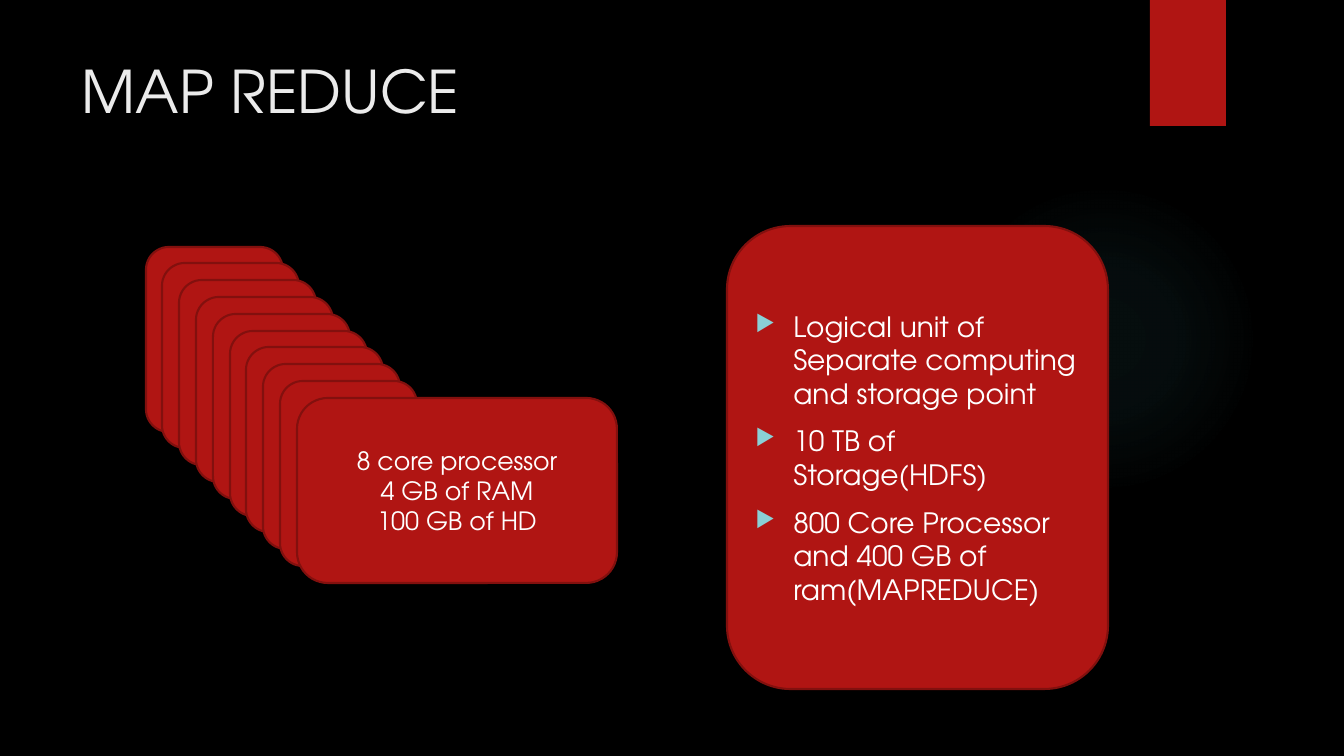
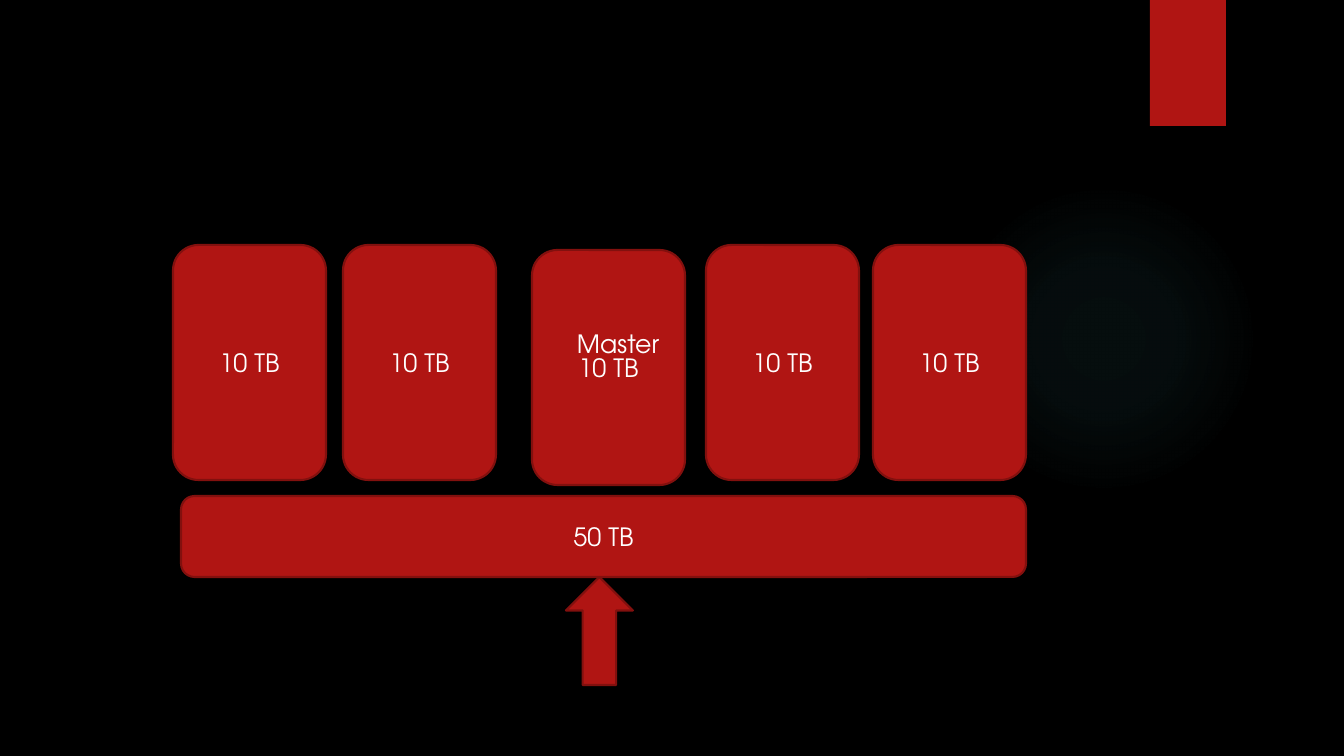
from lxml import etree
from pptx import Presentation
from pptx.dml.color import RGBColor
from pptx.enum.shapes import MSO_SHAPE
from pptx.enum.text import MSO_ANCHOR, PP_ALIGN
from pptx.oxml import parse_xml
from pptx.oxml.ns import nsdecls, qn
from pptx.util import Emu, Pt

PX = 914400 / 100.8
FONT = "TeX Gyre Adventor"
RED, EDGE, WHITE, PALE = "B01513", "82100E", "FFFFFF", "EBEBEB"
TEAL, AQUA, BLACK = "50B9C1", "8AD0D6", "000000"
ROUND, RECT, OVAL, ARROW = (MSO_SHAPE.ROUNDED_RECTANGLE, MSO_SHAPE.RECTANGLE,
                            MSO_SHAPE.OVAL, MSO_SHAPE.UP_ARROW)
MIDDLE, TOP = MSO_ANCHOR.MIDDLE, MSO_ANCHOR.TOP
LEFT, CENTER = PP_ALIGN.LEFT, PP_ALIGN.CENTER


def color(code):
    return RGBColor.from_string(code)


def box(slide, kind, area, lines=(), size=18, align=CENTER):
    """Add a red shape, or a plain text box if kind is None."""
    place = [Emu(round(n * PX)) for n in area]
    if kind is None:
        shape = slide.shapes.add_textbox(*place)
    else:
        shape = slide.shapes.add_shape(kind, *place)
        shape.shadow.inherit = False
        shape.fill.solid()
        shape.fill.fore_color.rgb = color(RED)
        shape.line.color.rgb = color(EDGE)
        shape.line.width = Pt(1.5)
    frame = shape.text_frame
    frame.word_wrap = True
    frame.vertical_anchor = TOP if kind is None else MIDDLE
    for i, line in enumerate(lines):
        para = frame.paragraphs[0] if i == 0 else frame.add_paragraph()
        para.text = line
        para.alignment = align
        para.font.name = FONT
        para.font.size = Pt(size)
        para.font.color.rgb = color(WHITE)
    return shape


deck = Presentation()
deck.slide_width, deck.slide_height = Emu(round(1344 * PX)), Emu(round(756 * PX))
back = deck.slide_master.background.fill
back.solid()
back.fore_color.rgb = color(BLACK)
blank = deck.slide_layouts[6]

# Shared glow and tab
stops = "".join(
    f'<a:gs pos="{pos}000"><a:srgbClr val="{TEAL}"><a:alpha val="{alpha}000"/>'
    "</a:srgbClr></a:gs>" for pos, alpha in ((0, 7), (36, 6), (69, 0), (100, 0)))
for _ in range(2):
    slide = deck.slides.add_slide(blank)
    glow = box(slide, OVAL, (949, 184, 310, 310))
    glow.line.fill.background()
    solid = glow.fill._xPr.find(qn("a:solidFill"))
    solid.getparent().replace(solid, parse_xml(
        f'<a:gradFill {nsdecls("a")} rotWithShape="1"><a:gsLst>{stops}</a:gsLst>'
        '<a:path path="circle"><a:fillToRect l="50000" t="50000" r="50000" b="50000"/>'
        "</a:path></a:gradFill>"))
    tab = box(slide, RECT, (1150, 0, 76, 126))
    tab.line.fill.background()
first, second = deck.slides

# Slide 1: title
title = box(first, None, (72, 50, 1037, 154), ["MAP REDUCE"], 42, LEFT)
title.text_frame.paragraphs[0].font.color.rgb = color(PALE)

# Slide 1: stack of ten machines, the front one wider
for i in range(10):
    step = 168 * i // 10
    front = i == 9
    specs = ["8 core processor", "4 GB of RAM", "100 GB of HD"] if front else []
    box(first, ROUND, (146 + step, 247 + step, 320 if front else 137, 185), specs)

# Slide 1: bulleted panel
points = ["Logical unit of Separate computing and storage point",
          "10 TB of Storage(HDFS)",
          "800 Core Processor and 400 GB of ram(MAPREDUCE)"]
panel = box(first, ROUND, (727, 226, 381, 463))
for i, point in enumerate(points):
    frame = panel.text_frame
    para = frame.paragraphs[0] if i == 0 else frame.add_paragraph()
    para.text = point
    para.alignment = LEFT
    props = para._p.get_or_add_pPr()
    props.set("marL", "342900")
    props.set("indent", "-342900")
    tint = etree.SubElement(props, qn("a:buClr"))
    etree.SubElement(tint, qn("a:srgbClr"), val=AQUA)
    etree.SubElement(props, qn("a:buSzPct"), val="80000")
    etree.SubElement(props, qn("a:buChar"), char="▶")
    para.space_before = Pt(10 if i else 0)
    para.font.name = FONT
    para.font.size = Pt(20)
    para.font.color.rgb = color(WHITE)

# Slide 2: five stores over one pool
for left, top in ((173, 245), (343, 245), (532, 250), (706, 245), (873, 245)):
    box(second, ROUND, (left, top, 153, 235), ["10 TB"])
box(second, ROUND, (181, 496, 845, 81), ["50 TB"])
master = box(second, None, (567, 323, 104, 40), ["Master"], align=LEFT)
master.text_frame.word_wrap = False
box(second, ARROW, (566, 577, 67, 108))

deck.save("out.pptx")
